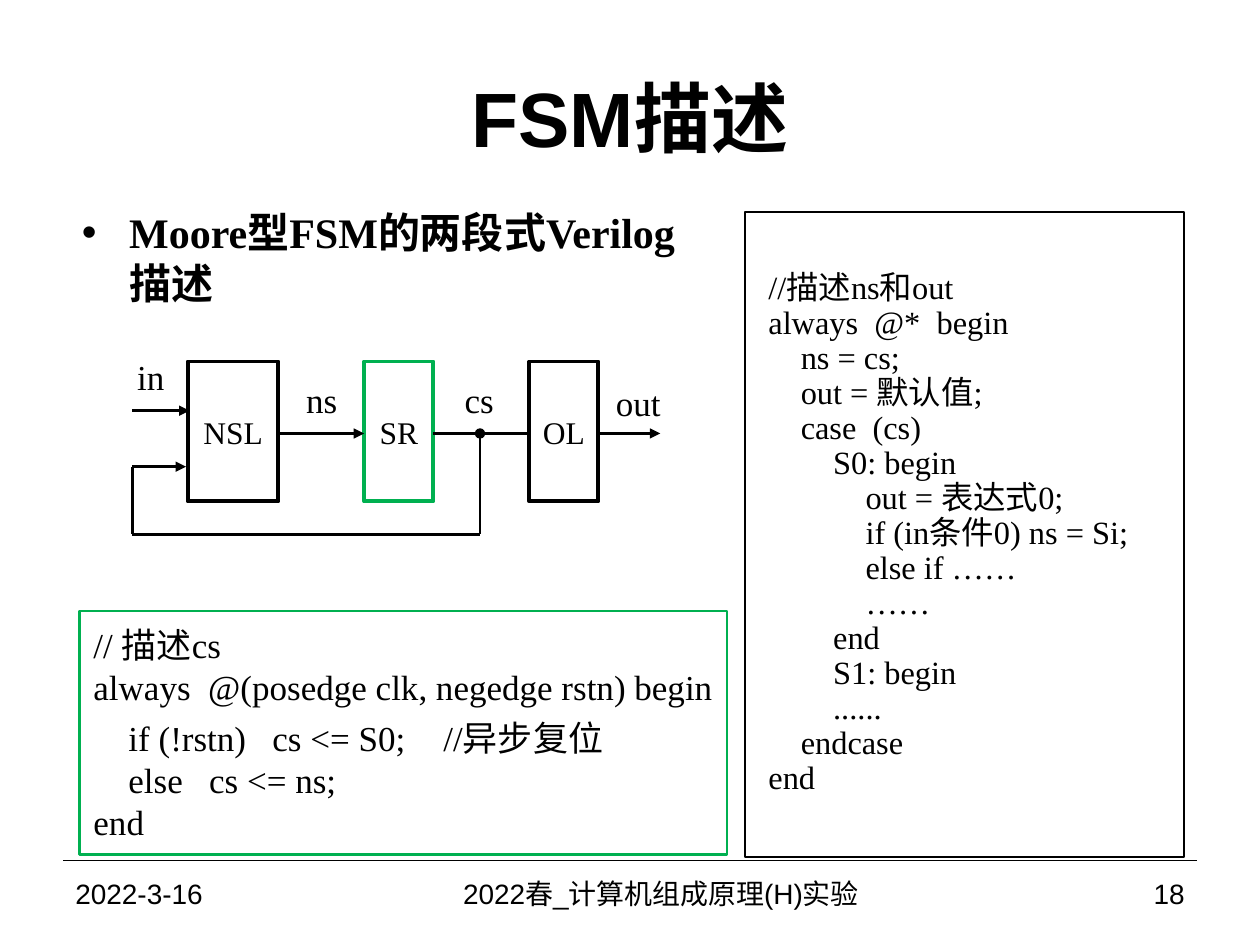
import pptx
import pptx.util
import pptx.dml.color
import pptx.enum.shapes
import pptx.enum.text
import pptx.oxml
import pptx.oxml.ns

Pt = pptx.util.Pt
ALIGN = pptx.enum.text.PP_ALIGN
ANCHOR = pptx.enum.text.MSO_ANCHOR
BLACK, WHITE, GREEN = "000000", "FFFFFF", "00B050"
SERIF, SANS = "Times New Roman", "Arial"

STATE_CODE = [
    (0, "// 描述cs"),
    (0, "always  @(posedge clk, negedge rstn) begin"),
    (1, "if (!rstn)   cs <= S0;\t//异步复位"),
    (1, "else   cs <= ns;"),
    (0, "end"),
]
LOGIC_CODE = [
    (0, "//描述ns和out"),
    (0, "always  @*  begin"),
    (1, "ns = cs;"),
    (1, "out = 默认值;"),
    (1, "case  (cs)"),
    (2, "S0: begin"),
    (3, "out = 表达式0;"),
    (3, "if (in条件0) ns = Si;"),
    (3, "else if ……"),
    (3, "……"),
    (2, "end"),
    (2, "S1: begin"),
    (2, "......"),
    (1, "endcase"),
    (0, "end"),
]


def colour(hex_string):
    return pptx.dml.color.RGBColor.from_string(hex_string)


def add_element(parent, tag, **attributes):
    element = pptx.oxml.parse_xml(f"<a:{tag} {pptx.oxml.ns.nsdecls('a')}/>")
    for key, value in attributes.items():
        element.set(key, str(value))
    parent.append(element)
    return element


def write(paragraph, text, size=20, font=SERIF, bold=False, align=ALIGN.LEFT,
          margin=0, hang=0, before=0, after=0, spacing=1.0, tab=None):
    run = paragraph.add_run()
    run.text = text
    run.font.size = Pt(size)
    run.font.name = font
    run.font.bold = bold
    run.font.color.rgb = colour(BLACK)
    paragraph.alignment = align
    paragraph.space_before = Pt(before)
    paragraph.space_after = Pt(after)
    paragraph.line_spacing = spacing
    properties = paragraph._p.get_or_add_pPr()
    properties.set("marL", str(Pt(margin)))
    properties.set("indent", str(Pt(-hang)))
    if tab:
        add_element(add_element(properties, "tabLst"), "tab", pos=Pt(tab), algn="l")


def set_frame(shape, inset=(7.2, 3.6), anchor=ANCHOR.MIDDLE, wrap=True):
    frame = shape.text_frame
    frame.auto_size = pptx.enum.text.MSO_AUTO_SIZE.NONE
    frame.margin_left = frame.margin_right = Pt(inset[0])
    frame.margin_top = frame.margin_bottom = Pt(inset[1])
    frame.vertical_anchor = anchor
    frame.word_wrap = wrap
    return frame


def fill_placeholder(holder, box, text, anchor, **text_format):
    holder.left, holder.top, holder.width, holder.height = map(Pt, box)
    write(set_frame(holder, anchor=anchor).paragraphs[0], text, **text_format)


def add_label(slide, box, text, anchor=ANCHOR.TOP, wrap=False, **text_format):
    label = slide.shapes.add_textbox(*map(Pt, box))
    write(set_frame(label, anchor=anchor, wrap=wrap).paragraphs[0], text, **text_format)


def add_box(slide, box, outline, weight, fill=None):
    rectangle = slide.shapes.add_shape(
        pptx.enum.shapes.MSO_SHAPE.RECTANGLE, *map(Pt, box))
    rectangle.shadow.inherit = False
    if fill:
        rectangle.fill.solid()
        rectangle.fill.fore_color.rgb = colour(fill)
    else:
        rectangle.fill.background()
    rectangle.line.color.rgb = colour(outline)
    rectangle.line.width = Pt(weight)
    return rectangle


def add_block(slide, box, text, outline=BLACK):
    block = add_box(slide, box, outline, 2.25, WHITE)
    frame = set_frame(block, inset=(0, 0), wrap=False)
    write(frame.paragraphs[0], text, size=18, align=ALIGN.CENTER)


def add_code(slide, box, code, outline, weight, inset, size, spacing=1.0,
             comment_tab=None, header_gap=0):
    frame = set_frame(add_box(slide, box, outline, weight), inset=inset)
    for number, (level, text) in enumerate(code):
        paragraph = frame.paragraphs[0] if number == 0 else frame.add_paragraph()
        write(paragraph, text, size=size, margin=6.5 + level * size, spacing=spacing,
              after=header_gap if number == 1 else 0,
              tab=comment_tab if "\t" in text else None)


def add_wire(slide, start, end, weight=1.5, head=None, tail=None):
    wire = slide.shapes.add_connector(
        pptx.enum.shapes.MSO_CONNECTOR.STRAIGHT, *map(Pt, start + end))
    wire.line.color.rgb = colour(BLACK)
    wire.line.width = Pt(weight)
    outline = wire.line._get_or_add_ln()
    if head:
        add_element(outline, "headEnd", type=head)
    if tail:
        add_element(outline, "tailEnd", type=tail)
    add_element(wire._element.spPr, "effectLst")


def add_diagram(slide):
    top, height, axis = 206.6, 80, 247.7
    nsl_left, nsl_right = 107.3, 159.1
    sr_left, sr_right = 208.1, 247.7
    ol_left, ol_right = 302.4, 342
    source, input_y, feedback_y, bottom = 75.6, 234.7, 266.7, 305.3
    branch = 274.3

    add_block(slide, (ol_left, top, ol_right - ol_left, height), "OL")
    add_block(slide, (sr_left, top, sr_right - sr_left, height), "SR", GREEN)
    add_block(slide, (nsl_left, top, nsl_right - nsl_left, height), "NSL")

    add_wire(slide, (source, input_y), (nsl_left + 1, input_y), tail="triangle")
    add_wire(slide, (nsl_right, axis), (sr_left, axis), tail="triangle")
    add_wire(slide, (sr_right, axis), (ol_left, axis))
    add_wire(slide, (ol_right, axis), (377.3, axis), tail="triangle")
    add_wire(slide, (branch, axis), (branch, bottom), head="oval")
    add_wire(slide, (source, bottom), (branch, bottom))
    add_wire(slide, (source, feedback_y), (source, bottom))
    add_wire(slide, (source, feedback_y), (nsl_left - 1, feedback_y), tail="triangle")

    for signal, left, label_top, width in (
            ("in", 71.3, 199.5, 29.5), ("ns", 167.8, 212.5, 32.4),
            ("cs", 258.5, 213, 31), ("out", 344.9, 214.5, 39.6)):
        add_label(slide, (left, label_top, width, 31.7), signal)


def add_footer(slide):
    top, height = 491.8, 37.4
    add_wire(slide, (36, top), (684, top), weight=0.75)
    for text, left, width, align in (
            ("2022-3-16", 36, 167.8, ALIGN.LEFT),
            ("2022春_计算机组成原理(H)实验", 203.8, 347.8, ALIGN.CENTER),
            ("18", 558, 126, ALIGN.RIGHT)):
        add_label(slide, (left, top, width, height), text, anchor=ANCHOR.MIDDLE,
                  wrap=True, size=16, font=SANS, align=align)


def main():
    deck = pptx.Presentation()
    deck.slide_width, deck.slide_height = Pt(720), Pt(540)
    slide = deck.slides.add_slide(deck.slide_layouts[1])
    title, topic = slide.placeholders
    fill_placeholder(title, (36, 21.6, 648, 90), "FSM描述", ANCHOR.MIDDLE,
                     size=44, font=SANS, bold=True, align=ALIGN.CENTER)
    fill_placeholder(topic, (39.6, 114.5, 357, 67.7), "Moore型FSM的两段式Verilog描述",
                     ANCHOR.TOP, size=24, bold=True, margin=27, hang=27, before=6)
    add_diagram(slide)
    add_code(slide, (45.4, 349.2, 370, 139), STATE_CODE, GREEN, 1.5, (1.5, 2),
             size=20, comment_tab=203.5, header_gap=5)
    add_code(slide, (425.5, 121, 251.3, 368.6), LOGIC_CODE, BLACK, 1, (7.2, 3.6),
             size=18.5, spacing=0.9)
    add_footer(slide)
    deck.save("out.pptx")


if __name__ == "__main__":
    main()
